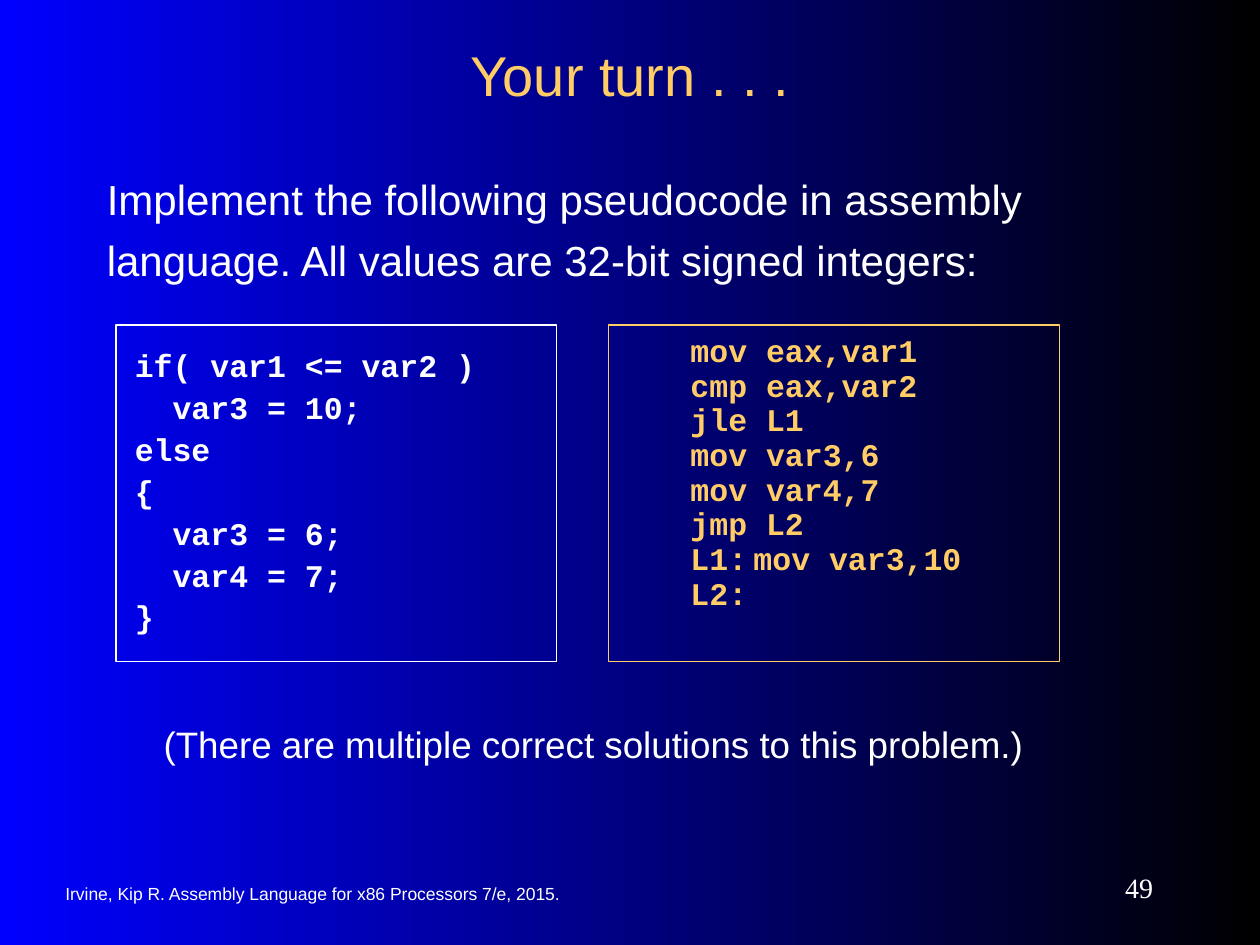
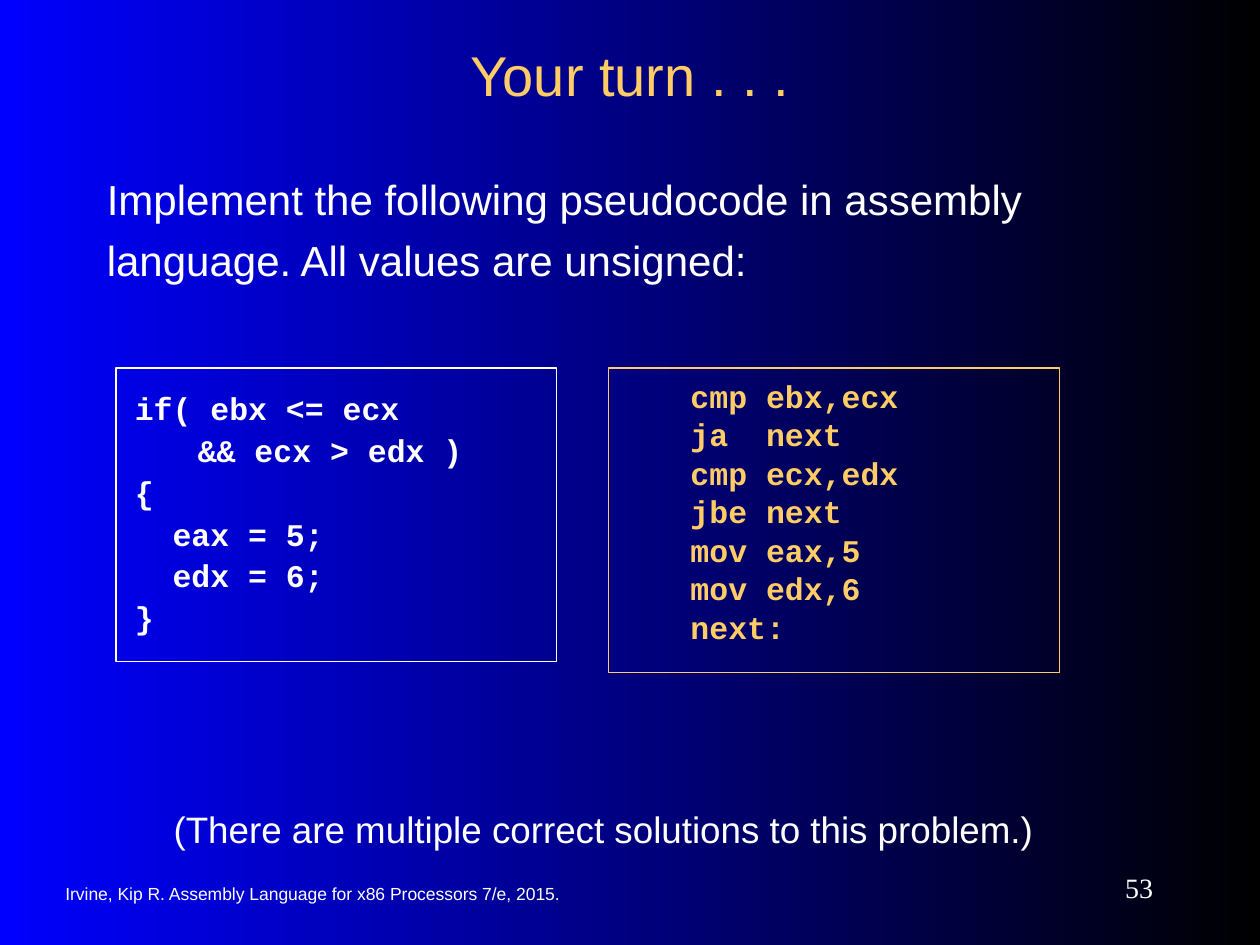
from dataclasses import dataclass

from pptx import Presentation
from pptx.dml.color import RGBColor
from pptx.enum.shapes import MSO_SHAPE as Shape
from pptx.enum.text import MSO_ANCHOR as Anchor, MSO_AUTO_SIZE as AutoSize, PP_ALIGN as Align
from pptx.oxml import parse_xml
from pptx.oxml.ns import nsdecls
from pptx.util import Inches, Pt


@dataclass(frozen=True)
class Theme:
    white: RGBColor = RGBColor(0xFF, 0xFF, 0xFF)
    gold: RGBColor = RGBColor(0xFF, 0xCC, 0x66)
    blue: RGBColor = RGBColor(0x00, 0x00, 0xFF)
    black: RGBColor = RGBColor(0x00, 0x00, 0x00)
    sans: str = "Arial"
    serif: str = "Times New Roman"
    mono: str = "Courier New"
    title_size: int = 32
    body_size: int = 24
    note_size: float = 21
    code_size: int = 18
    number_size: int = 16
    footer_size: int = 10
    border: float = 0.75


THEME = Theme()
CODE_TAB = Inches(0.5)

EXERCISES = [
    dict(
        number=49,
        task="Implement the following pseudocode in assembly language. "
             "All values are 32-bit signed integers:",
        pseudocode=["if( var1 <= var2 )", "  var3 = 10;", "else", "{",
                    "  var3 = 6;", "  var4 = 7;", "}"],
        solution=["mov eax,var1", "cmp eax,var2", "jle L1", "mov var3,6",
                  "mov var4,7", "jmp L2", "L1:\tmov var3,10", "L2:"],
        code_top=2.58, pseudocode_height=2.67, solution_height=2.67,
        solution_spacing=0.4, note_at=(0.75, 5.58),
    ),
    dict(
        number=53,
        task="Implement the following pseudocode in assembly language. "
             "All values are unsigned:",
        pseudocode=["if( ebx <= ecx", "\t&& ecx > edx )", "{",
                    "  eax = 5;", "  edx = 6;", "}"],
        solution=["cmp ebx,ecx", "ja  next", "cmp ecx,edx", "jbe next",
                  "mov eax,5", "mov edx,6", "next:"],
        code_top=2.92, pseudocode_height=2.33, solution_height=2.42,
        solution_spacing=0.5, note_at=(0.83, 6.25),
    ),
]


# Text and its format
def write_text(shape, lines, *, size, color=THEME.white, font=THEME.sans, bold=False,
               align=Align.LEFT, anchor=Anchor.TOP, inset=(0.1, 0.05),
               line_spacing=None, space_before=None, indent=0, tab=None):
    frame = shape.text_frame
    frame.word_wrap = True
    frame.vertical_anchor = anchor
    frame.margin_left = frame.margin_right = Inches(inset[0])
    frame.margin_top = frame.margin_bottom = Inches(inset[1])
    for index, line in enumerate(lines):
        paragraph = frame.add_paragraph() if index else frame.paragraphs[0]
        paragraph.alignment = align
        if line_spacing is not None:
            paragraph.line_spacing = line_spacing
        if space_before is not None:
            paragraph.space_before = Pt(space_before)
        properties = paragraph._p.get_or_add_pPr()
        if indent:
            properties.set("marL", str(Inches(indent)))
            properties.set("indent", "0")
        if tab:
            properties.append(parse_xml(
                f'<a:tabLst {nsdecls("a")}><a:tab pos="{tab}" algn="l"/></a:tabLst>'))
        run = paragraph.add_run()
        run.text = line
        run.font.name = font
        run.font.size = Pt(size)
        run.font.bold = bold
        run.font.color.rgb = color


def add_text(slide, left, top, width, height, text, **text_format):
    box = slide.shapes.add_textbox(Inches(left), Inches(top), Inches(width), Inches(height))
    write_text(box, [text], **text_format)
    return box


# Outlined box of code
def add_code_box(slide, left, top, width, height, lines, color, **text_format):
    box = slide.shapes.add_shape(Shape.RECTANGLE, Inches(left), Inches(top),
                                 Inches(width), Inches(height))
    box.shadow.inherit = False
    box.fill.background()
    box.line.color.rgb = color
    box.line.width = Pt(THEME.border)
    write_text(box, lines, size=THEME.code_size, color=color, font=THEME.mono, bold=True,
               inset=(0.15, 0.2), tab=CODE_TAB, **text_format)


# Background, footer, page number and title shared by the slides
def add_base_slide(presentation, number):
    slide = presentation.slides.add_slide(presentation.slide_layouts[6])
    fill = slide.background.fill
    fill.gradient()
    fill.gradient_angle = 0
    for stop, color in zip(fill.gradient_stops, (THEME.blue, THEME.black)):
        stop.color.rgb = color
    add_text(slide, 0.42, 6.93, 5.17, 0.33,
             "Irvine, Kip R. Assembly Language for x86 Processors 7/e, 2015.",
             size=THEME.footer_size, anchor=Anchor.MIDDLE)
    add_text(slide, 8.17, 6.83, 1.08, 0.42, str(number), size=THEME.number_size,
             font=THEME.serif, align=Align.RIGHT, anchor=Anchor.MIDDLE)
    add_text(slide, 0.75, 0.25, 8.5, 0.67, "Your turn . . .", size=THEME.title_size,
             color=THEME.gold, align=Align.CENTER, anchor=Anchor.MIDDLE)
    return slide


# Task, pseudocode, solution and closing note
def add_exercise(presentation, *, number, task, pseudocode, solution, code_top,
                 pseudocode_height, solution_height, solution_spacing, note_at):
    slide = add_base_slide(presentation, number)
    add_text(slide, 0.75, 1.25, 8.5, 1.33, task, size=THEME.body_size,
             line_spacing=1.2, space_before=6)
    add_code_box(slide, 4.83, code_top, 3.58, solution_height, solution, THEME.gold,
                 line_spacing=solution_spacing, space_before=11.2, indent=0.5)
    add_code_box(slide, 0.92, code_top, 3.5, pseudocode_height, pseudocode, THEME.white,
                 line_spacing=0.9, space_before=4.5)
    note = add_text(slide, *note_at, 7.92, 0.65,
                    "(There are multiple correct solutions to this problem.)",
                    size=THEME.note_size, align=Align.CENTER, inset=(0.1, 0.15),
                    space_before=13.1)
    note.text_frame.auto_size = AutoSize.SHAPE_TO_FIT_TEXT


def main():
    presentation = Presentation()
    presentation.slide_width = Inches(10)
    presentation.slide_height = Inches(7.5)
    for exercise in EXERCISES:
        add_exercise(presentation, **exercise)
    presentation.save("out.pptx")


main()
